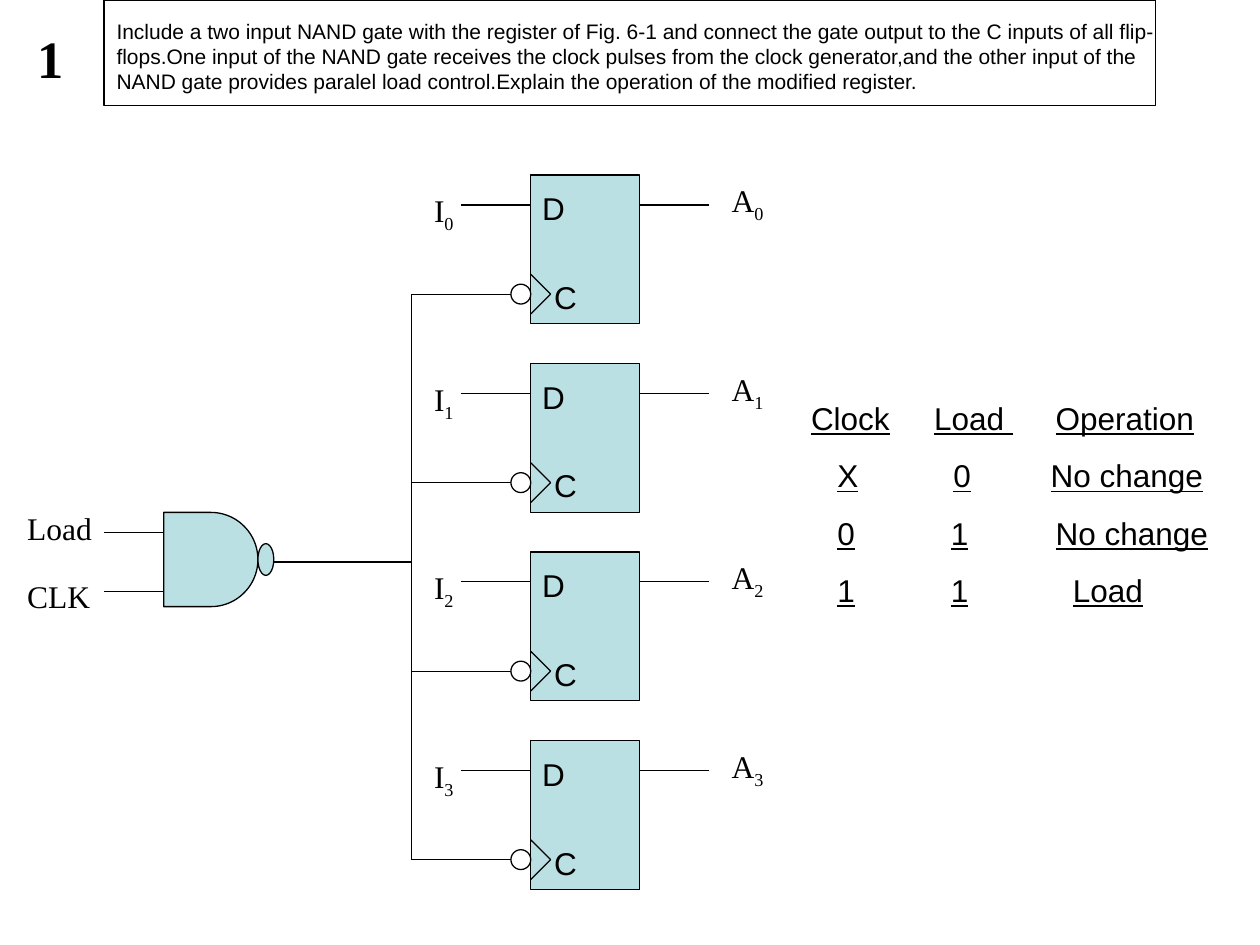
from lxml import etree
from pptx import Presentation, util as u
from pptx.dml.color import RGBColor
from pptx.enum import shapes, text
from pptx.oxml.ns import qn

HUES = {"ink": "000000", "fill": "BBE0E3"}
SERIF, SANS = "Times New Roman", "Arial"
PITCH, TOP, COUNT = 3.8, 3.53, 4
BUS = 8.3


def hue(name):
    """Return the named colour."""
    return RGBColor.from_string(HUES[name])


def wire(slide, start, end):
    """Draw a thin straight line between two points."""
    line = slide.shapes.add_connector(
        shapes.MSO_CONNECTOR.STRAIGHT, *map(u.Cm, start + end))
    line.line.color.rgb = hue("ink")
    line.line.width = u.Pt(0.75)
    etree.SubElement(line._element.spPr, qn("a:effectLst"))


def block(slide, kind, box, fill=None):
    """Draw an outlined preset shape, filled if a colour is named."""
    shape = slide.shapes.add_shape(kind, *map(u.Cm, box))
    shape.shadow.inherit = False
    shape.line.color.rgb = hue("ink")
    shape.line.width = u.Pt(0.75)
    if fill:
        shape.fill.solid()
        shape.fill.fore_color.rgb = hue(fill)
    else:
        shape.fill.background()


def add_tabs(para, stops):
    """Set left tab stops on a paragraph."""
    tabs = etree.SubElement(para._p.get_or_add_pPr(), qn("a:tabLst"))
    for stop in stops:
        etree.SubElement(tabs, qn("a:tab"), pos=str(u.Cm(stop)), algn="l")


def write(slide, box, rows, font=SERIF, size=18, bold=False, gap=11.2, tabs=()):
    """Write rows of (words, mark) runs, where mark is sub, under or empty."""
    area = slide.shapes.add_textbox(*map(u.Cm, box))
    frame = area.text_frame
    frame.word_wrap = True
    frame.auto_size = text.MSO_AUTO_SIZE.SHAPE_TO_FIT_TEXT
    for i, row in enumerate(rows):
        para = frame.paragraphs[0] if i == 0 else frame.add_paragraph()
        para.space_before = u.Pt(gap)
        if tabs:
            add_tabs(para, tabs[i])
        for words, mark in row:
            run = para.add_run()
            run.text = words
            run.font.name = font
            run.font.size = u.Pt(size)
            run.font.bold = bold
            run.font.color.rgb = hue("ink")
            if mark == "under":
                run.font.underline = True
            if mark == "sub":
                run._r.get_or_add_rPr().set("baseline", "-25000")


def flip_flop(slide, index):
    """Draw one D flip-flop with its wires and labels."""
    top = TOP + index * PITCH
    data, clock = top + 0.6, top + 2.4
    block(slide, shapes.MSO_SHAPE.RECTANGLE, (10.7, top, 2.2, 3), "fill")
    wire(slide, (10.7, data), (9.3, data))
    wire(slide, (14.3, data), (12.9, data))
    for side in (-0.4, 0.4):
        wire(slide, (11.1, clock), (10.7, clock + side))
    block(slide, shapes.MSO_SHAPE.FLOWCHART_CONNECTOR,
          (10.3, clock - 0.2, 0.4, 0.4))
    wire(slide, (10.3, clock), (BUS, clock))
    for name, left, drop in (("A", 14.5, 0), ("I", 8.5, 0.2)):
        write(slide, (left, top + drop, 1.8, 1.12),
              [[(name, ""), (str(index), "sub")]])
    for name, left, drop in (("D", 10.68, 0.16), ("C", 10.92, 1.95)):
        write(slide, (left, top + drop, 1.4, 1.02), [[(name, "")]], font=SANS)


def nand_gate(slide):
    """Draw the gate, its inputs and the clock bus."""
    wire(slide, (BUS, TOP + 2.4), (BUS, TOP + 2.4 + (COUNT - 1) * PITCH))
    wire(slide, (BUS, 11.33), (5.5, 11.33))
    block(slide, shapes.MSO_SHAPE.FLOWCHART_DELAY,
          (3.3, 10.33, 1.9, 1.9), "fill")
    block(slide, shapes.MSO_SHAPE.FLOWCHART_CONNECTOR,
          (5.2, 10.96, 0.32, 0.64), "fill")
    for name, y, top in (("Load", 10.73, 10.13), ("CLK", 11.93, 11.5)):
        wire(slide, (3.3, y), (2.1, y))
        write(slide, (0.3, top, 2.4, 1.02), [[(name, "")]])


def truth(slide):
    """Write the table of operations on tab stops."""
    head = [("Clock", "under"), ("\t", ""), ("Load ", "under"),
            ("\t", ""), ("Operation", "under")]
    body = ["X\t0\tNo change\t", "0\t1\tNo change", "1\t1\tLoad\t"]
    stops = [(2.48, 4.93), (0.53, 2.87, 4.83, 8.08),
             (0.53, 2.82, 4.93), (0.53, 2.82, 5.28, 7.57)]
    rows = [head] + [[("\t", ""), (line, "under")] for line in body]
    write(slide, (16.1, 7.92, 9.3, 4.5), rows, font=SANS, tabs=stops)


def main():
    """Build and save the slide."""
    deck = Presentation()
    deck.slide_width, deck.slide_height = u.Cm(25.4), u.Cm(19.05)
    slide = deck.slides.add_slide(deck.slide_layouts[6])
    for index in range(COUNT):
        flip_flop(slide, index)
    nand_gate(slide)
    write(slide, (0.5, 0.4, 1.8, 1.52), [[("1", "")]],
          size=30, bold=True, gap=18.7)
    task = ("Include a two input NAND gate with the register of Fig. 6-1 and "
            "connect the gate output to the C inputs of all flip-flops.One "
            "input of the NAND gate receives the clock pulses from the clock "
            "generator,and the other input of the NAND gate provides paralel "
            "load control.Explain the operation of the modified register.")
    write(slide, (2.1, 0.25, 21.62, 1.78), [[(task, "")]],
          font=SANS, size=12, gap=7.5)
    truth(slide)
    block(slide, shapes.MSO_SHAPE.RECTANGLE, (2.1, 0, 21.2, 2.13))
    deck.save("out.pptx")


if __name__ == "__main__":
    main()
